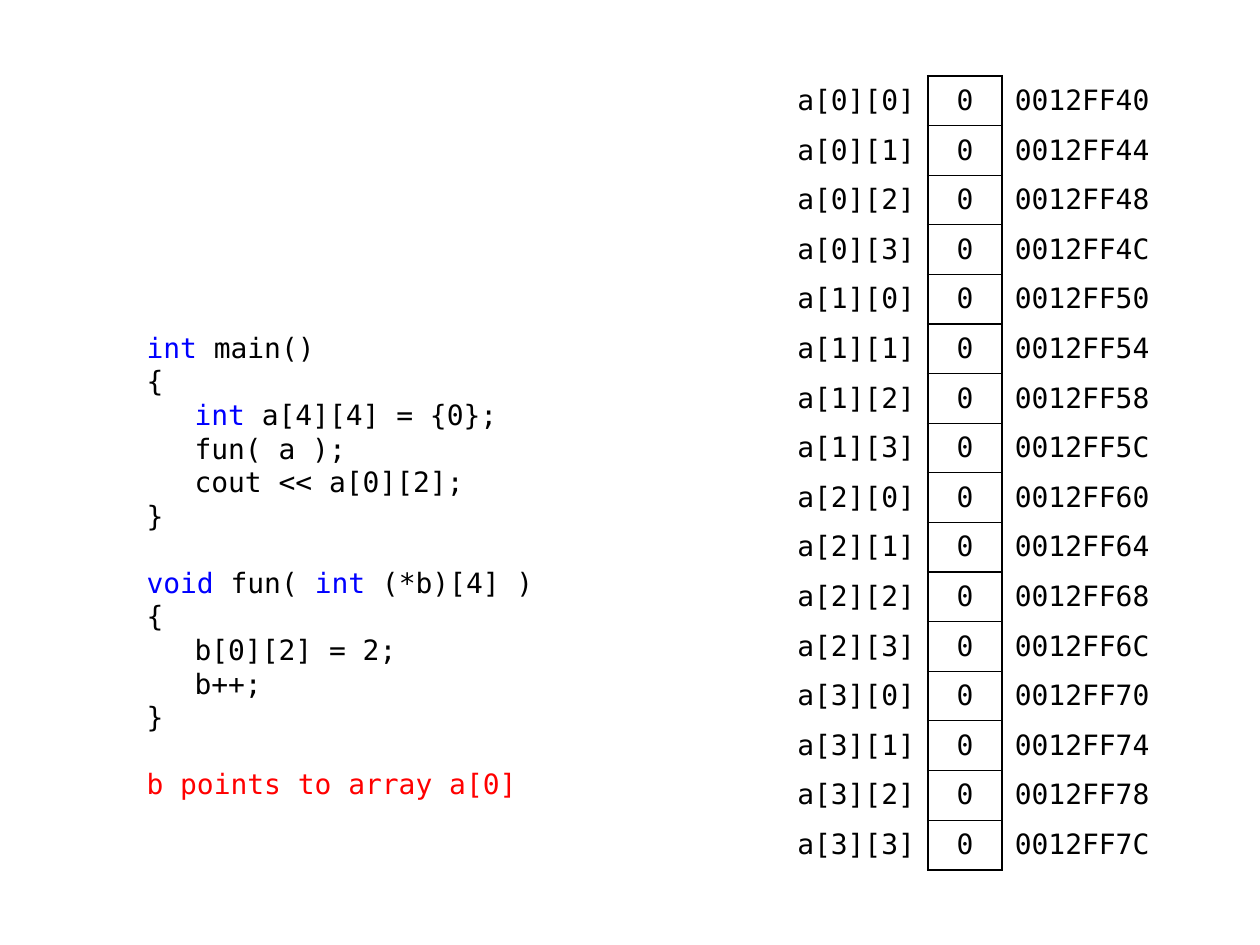
from dataclasses import dataclass

from lxml.etree import SubElement
from pptx import Presentation
from pptx.dml.color import RGBColor
from pptx.enum.text import MSO_ANCHOR, MSO_AUTO_SIZE, PP_ALIGN
from pptx.oxml.ns import qn
from pptx.util import Emu, Pt

PX = 914400 // 126


@dataclass(frozen=True)
class Theme:
    font: str = "DejaVu Sans Mono"
    size: float = 16
    line_height: float = 19.2
    text: str = "000000"
    keyword: str = "0000FF"
    remark: str = "FF0000"
    outer_border: float = 1.5
    inner_border: float = 0.75


THEME = Theme()

# Content: blocks of lines, each line a list of (text, theme colour) pieces
CODE_BLOCKS = [
    [
        [("int", "keyword"), (" main()", "text")],
        [("{", "text")],
        [("\t", "text"), ("int", "keyword"), (" a[4][4] = {0};", "text")],
        [("\tfun( a );", "text")],
        [("\tcout << a[0][2];", "text")],
        [("}", "text")],
    ],
    [
        [("void", "keyword"), (" fun( ", "text"), ("int", "keyword"), (" (*b)[4] )", "text")],
        [("{", "text")],
        [("\tb[0][2] = 2;", "text")],
        [("\tb++;", "text")],
        [("}", "text")],
    ],
    [[("b points to array a[0]", "remark")]],
]
ARRAY_SIDE = 4
FIRST_ADDRESS = 0x0012FF40
INT_BYTES = 4
MEMORY_ROWS = [
    ("", f"a[{i // ARRAY_SIDE}][{i % ARRAY_SIDE}]", "0", f"{FIRST_ADDRESS + INT_BYTES * i:08X}")
    for i in range(ARRAY_SIDE ** 2)
]

# Layout in px
CODE_BOX = (134, 324, 422, 496)
CODE_INDENT = 48
TABLE_LEFT, TABLE_TOP, TABLE_HEIGHT = 630, 76, 794
COLUMN_WIDTHS = (149, 149, 74, 174)
COLUMN_ALIGNMENTS = (PP_ALIGN.LEFT, PP_ALIGN.RIGHT, PP_ALIGN.CENTER, PP_ALIGN.LEFT)
LABEL_COLUMN, VALUE_COLUMN, ADDRESS_COLUMN = 1, 2, 3


def px(length):
    return Emu(length * PX)


def style_run(run, color):
    run.font.name = THEME.font
    run.font.size = Pt(THEME.size)
    run.font.color.rgb = RGBColor.from_string(color)


def add_code(slide):
    body = slide.placeholders[1]
    body.left, body.top, body.width, body.height = map(px, CODE_BOX)
    frame = body.text_frame
    frame.word_wrap = True
    frame.auto_size = MSO_AUTO_SIZE.NONE
    frame.vertical_anchor = MSO_ANCHOR.TOP
    paragraph = None
    for block_number, block in enumerate(CODE_BLOCKS):
        for line_number, line in enumerate(block):
            paragraph = frame.add_paragraph() if paragraph else frame.paragraphs[0]
            starts_later_block = block_number > 0 and line_number == 0
            paragraph.space_before = Pt(THEME.line_height if starts_later_block else 0)
            paragraph.line_spacing = Pt(THEME.line_height)
            # Hanging indent without a bullet
            properties = paragraph._p.get_or_add_pPr()
            properties.set("marL", str(px(CODE_INDENT)))
            properties.set("indent", str(-px(CODE_INDENT)))
            SubElement(properties, qn("a:buNone"))
            for text, role in line:
                run = paragraph.add_run()
                run.text = text
                style_run(run, getattr(THEME, role))


def cell_borders(row, column):
    """Border widths by side; a missing side has no line."""
    outer, inner = THEME.outer_border, THEME.inner_border
    if column == VALUE_COLUMN:
        return {
            "L": outer,
            "R": outer,
            "T": outer if row == 0 else inner,
            "B": outer if row == len(MEMORY_ROWS) - 1 else inner,
        }
    return {LABEL_COLUMN: {"R": outer}, ADDRESS_COLUMN: {"L": outer}}.get(column, {})


def set_borders(cell, widths):
    properties = cell._tc.get_or_add_tcPr()
    for side in "LRTB":
        line = SubElement(properties, qn(f"a:ln{side}"))
        if side in widths:
            line.set("w", str(Pt(widths[side])))
            fill = SubElement(line, qn("a:solidFill"))
            SubElement(fill, qn("a:srgbClr")).set("val", THEME.text)
        else:
            SubElement(line, qn("a:noFill"))


def add_memory_table(slide):
    table = slide.shapes.add_table(
        len(MEMORY_ROWS), len(COLUMN_WIDTHS), px(TABLE_LEFT), px(TABLE_TOP),
        px(sum(COLUMN_WIDTHS)), px(TABLE_HEIGHT),
    ).table
    table.first_row = table.horz_banding = False
    for column, width in zip(table.columns, COLUMN_WIDTHS):
        column.width = px(width)
    for row, values in enumerate(MEMORY_ROWS):
        for column, value in enumerate(values):
            cell = table.cell(row, column)
            set_borders(cell, cell_borders(row, column))
            cell.fill.background()
            cell.vertical_anchor = MSO_ANCHOR.MIDDLE
            cell.margin_left = cell.margin_right = px(13)
            cell.margin_top = cell.margin_bottom = px(5)
            paragraph = cell.text_frame.paragraphs[0]
            paragraph.text = value
            paragraph.alignment = COLUMN_ALIGNMENTS[column]
            for run in paragraph.runs:
                style_run(run, THEME.text)


def main():
    presentation = Presentation()
    presentation.slide_width, presentation.slide_height = px(1260), px(945)
    slide = presentation.slides.add_slide(presentation.slide_layouts[1])
    # The slide has no title
    title = slide.shapes.title.element
    title.getparent().remove(title)
    add_code(slide)
    add_memory_table(slide)
    presentation.save("out.pptx")


if __name__ == "__main__":
    main()
